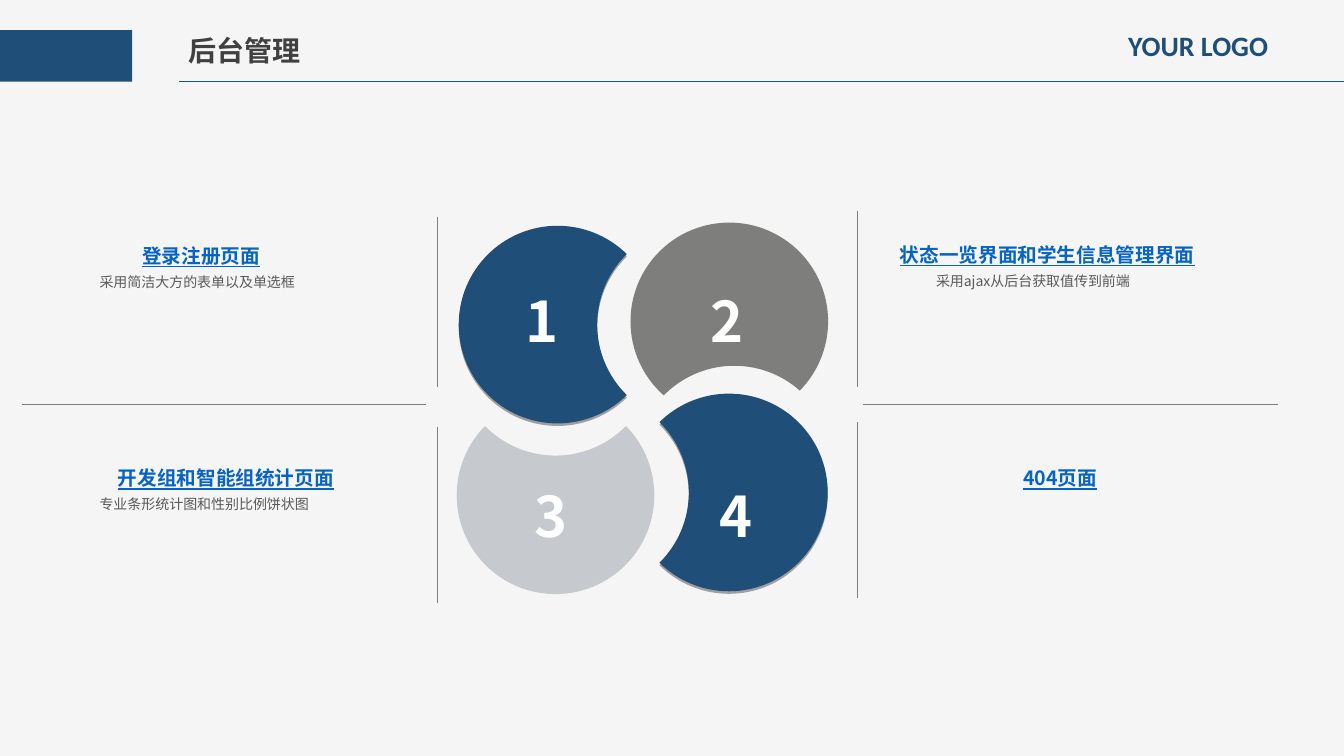
import math

import lxml.etree
import pptx
import pptx.dml.color
import pptx.enum.shapes
import pptx.enum.text
import pptx.oxml.ns
import pptx.util

Cm = pptx.util.Cm
RGBColor = pptx.dml.color.RGBColor
Align = pptx.enum.text.PP_ALIGN
Anchor = pptx.enum.text.MSO_ANCHOR
qn = pptx.oxml.ns.qn

BACKGROUND = RGBColor(0xF5, 0xF5, 0xF5)
NAVY = RGBColor(0x1F, 0x4E, 0x79)
GRAY = RGBColor(0x7E, 0x7E, 0x7D)
SILVER = RGBColor(0xC6, 0xC9, 0xCE)
RULE_GRAY = RGBColor(0x7F, 0x7F, 0x7F)
TITLE_GRAY = RGBColor(0x40, 0x40, 0x40)
NOTE_GRAY = RGBColor(0x59, 0x59, 0x59)
LINK_BLUE = RGBColor(0x05, 0x63, 0xC1)
WHITE = RGBColor(0xFF, 0xFF, 0xFF)

CJK_FONT = "Noto Sans CJK SC"
SLIDE_WIDTH, SLIDE_HEIGHT = 33.87, 19.05
RADIUS = 2.49


def write_text(shape, text, size, color, font_name=CJK_FONT, bold=False, underline=False,
               align=Align.LEFT, anchor=Anchor.TOP, line_spacing=None, wrap=True):
    frame = shape.text_frame
    frame.word_wrap = wrap
    frame.auto_size = pptx.enum.text.MSO_AUTO_SIZE.NONE
    frame.vertical_anchor = anchor
    paragraph = frame.paragraphs[0]
    paragraph.alignment = align
    if line_spacing:
        paragraph.line_spacing = line_spacing
    run = paragraph.add_run()
    run.text = text
    font = run.font
    font.size = pptx.util.Pt(size)
    font.bold = bold
    font.underline = underline
    font.color.rgb = color
    font.name = font_name
    east_asian = lxml.etree.SubElement(run._r.get_or_add_rPr(), qn("a:ea"))
    east_asian.set("typeface", CJK_FONT)


def add_text(slide, left, top, width, height, text, **text_format):
    box = slide.shapes.add_textbox(Cm(left), Cm(top), Cm(width), Cm(height))
    write_text(box, text, **text_format)


def add_rule(slide, x1, y1, x2, y2, color=RULE_GRAY):
    rule = slide.shapes.add_connector(
        pptx.enum.shapes.MSO_CONNECTOR.STRAIGHT, Cm(x1), Cm(y1), Cm(x2), Cm(y2))
    rule.line.color.rgb = color
    rule.line.width = pptx.util.Pt(0.75)
    lxml.etree.SubElement(rule._element.spPr, qn("a:effectLst"))


def fill_plain(shape, color):
    shape.fill.solid()
    shape.fill.fore_color.rgb = color
    shape.line.fill.background()
    shape.shadow.inherit = False


def add_drop_shadow(shape):
    effects = shape._element.spPr.find(qn("a:effectLst"))
    shadow = lxml.etree.SubElement(effects, qn("a:outerShdw"), blurRad="0",
                                   dist=str(pptx.util.Pt(1.8)), dir="5400000")
    color = lxml.etree.SubElement(shadow, qn("a:srgbClr"), val="000000")
    lxml.etree.SubElement(color, qn("a:alpha"), val="34000")


def arc_curves(x, y, angles):
    """Bezier curves (control, control, end) along a circle through the angles in degrees."""
    curves = []
    for start, end in zip(map(math.radians, angles), map(math.radians, angles[1:])):
        pull = 4 / 3 * math.tan((end - start) / 4)
        unit_points = [
            (math.cos(start) - pull * math.sin(start), math.sin(start) + pull * math.cos(start)),
            (math.cos(end) + pull * math.sin(end), math.sin(end) - pull * math.cos(end)),
            (math.cos(end), math.sin(end))]
        curves.append([(Cm(x + RADIUS * u), Cm(y + RADIUS * v)) for u, v in unit_points])
    return curves


def add_curved_outline(slide, curves):
    """Closed outline of Bezier curves whose end points span its bounding box."""
    ends = [curve[-1] for curve in curves]
    builder = slide.shapes.build_freeform(*ends[-1])
    builder.add_line_segments(ends, close=True)
    outline = builder.convert_to_shape()
    segments = list(outline._element.iter(qn("a:lnTo")))
    for segment, curve in zip(segments, curves):
        bezier = lxml.etree.Element(qn("a:cubicBezTo"))
        for x, y in curve:
            lxml.etree.SubElement(bezier, qn("a:pt"), x=str(x - outline.left),
                                  y=str(y - outline.top))
        segment.getparent().replace(segment, bezier)
    return outline


def add_bitten_disc(slide, x, y, number, color, bite_angle, bite_distance,
                    number_offset, shadow=False):
    """Disc centred at (x, y), cut by an equal circle in the direction bite_angle."""
    half = math.degrees(math.acos(bite_distance / 2 / RADIUS))
    start, end = bite_angle + half, bite_angle + 360 - half
    quarters = [angle for angle in range(0, 720, 90) if start < angle < end]
    bite_x = x + bite_distance * math.cos(math.radians(bite_angle))
    bite_y = y + bite_distance * math.sin(math.radians(bite_angle))
    opposite = bite_angle + 180
    curves = arc_curves(x, y, [start, *quarters, end])
    curves += arc_curves(bite_x, bite_y, [opposite + half, opposite, opposite - half])
    disc = add_curved_outline(slide, curves)
    fill_plain(disc, color)
    if shadow:
        add_drop_shadow(disc)
    offset_x, offset_y = number_offset
    add_text(slide, x + offset_x, y + offset_y, 1.4, 1.96, number,
             size=40, color=WHITE, bold=True, wrap=False)


def add_header(slide, left, top, width):
    bar = slide.shapes.add_shape(pptx.enum.shapes.MSO_SHAPE.RECTANGLE,
                                 Cm(left), Cm(top), Cm(3.33), Cm(1.3))
    fill_plain(bar, NAVY)
    add_rule(slide, left + 4.5, top + 1.3, left + width, top + 1.3, NAVY)
    title = slide.shapes.title
    title.left, title.top = Cm(left + 4.5), Cm(top - 0.41)
    title.width, title.height = Cm(7.14), Cm(1.85)
    write_text(title, "后台管理", size=20, color=TITLE_GRAY, font_name="Arial", bold=True,
               align=Align.JUSTIFY, anchor=Anchor.MIDDLE)
    add_text(slide, left + width - 5.69, top - 0.33, 4.11, 1.24, "YOUR LOGO",
             size=20, color=NAVY, font_name="Calibri", bold=True,
             anchor=Anchor.MIDDLE, line_spacing=1.2, wrap=False)


def add_discs(slide, left, top):
    """Four interlocking discs; left and top locate the centre of the first."""
    add_bitten_disc(slide, left, top, "1", NAVY, 0, 3.49, (-1.05, -1.09), shadow=True)
    add_bitten_disc(slide, left + 4.33, top - 0.08, "2", GRAY, 88, 3.61, (-0.73, -1.01))
    add_bitten_disc(slide, left + 4.32, top + 4.23, "4", NAVY, 180, 3.5, (-0.48, -0.39),
                    shadow=True)
    add_bitten_disc(slide, left - 0.05, top + 4.3, "3", SILVER, 270, 3.49, (-0.79, -0.46))


def add_dividers(slide):
    for x, y1, y2 in [(11.02, 5.46, 9.75), (11.02, 10.77, 15.2),
                      (21.62, 5.32, 9.75), (21.62, 10.63, 15.06)]:
        add_rule(slide, x, y1, x, y2)
    for x1, x2 in [(0.56, 10.73), (21.76, 32.21)]:
        add_rule(slide, x1, 10.19, x2, 10.19)


def add_caption(slide, left, top, width, heading, note=None, note_left=0):
    add_text(slide, left, top, width, 1.04, heading, size=14, color=LINK_BLUE,
             bold=True, underline=True, align=Align.RIGHT, line_spacing=1.5)
    if note:
        add_text(slide, note_left, top + 1.04, 6.91, 0.69, note, size=10, color=NOTE_GRAY)


def add_captions(slide, upper, lower):
    add_caption(slide, 2.11, upper, 4.7, "登录注册页面", "采用简洁大方的表单以及单选框", 2.26)
    add_caption(slide, 2.12, lower, 6.55, "开发组和智能组统计页面",
                "专业条形统计图和性别比例饼状图", 2.26)
    add_caption(slide, 21.11, upper - 0.02, 9.25, "状态一览界面和学生信息管理界面",
                "采用ajax从后台获取值传到前端", 23.34)
    add_caption(slide, 23.2, lower, 4.7, "404页面")


def main():
    presentation = pptx.Presentation()
    presentation.slide_width = Cm(SLIDE_WIDTH)
    presentation.slide_height = Cm(SLIDE_HEIGHT)
    slide = presentation.slides.add_slide(presentation.slide_layouts[5])
    slide.background.fill.solid()
    slide.background.fill.fore_color.rgb = BACKGROUND
    add_discs(slide, 14.05, 8.18)
    add_dividers(slide)
    add_captions(slide, 5.72, 11.33)
    add_header(slide, 0, 0.76, SLIDE_WIDTH)
    presentation.save("out.pptx")


if __name__ == "__main__":
    main()
